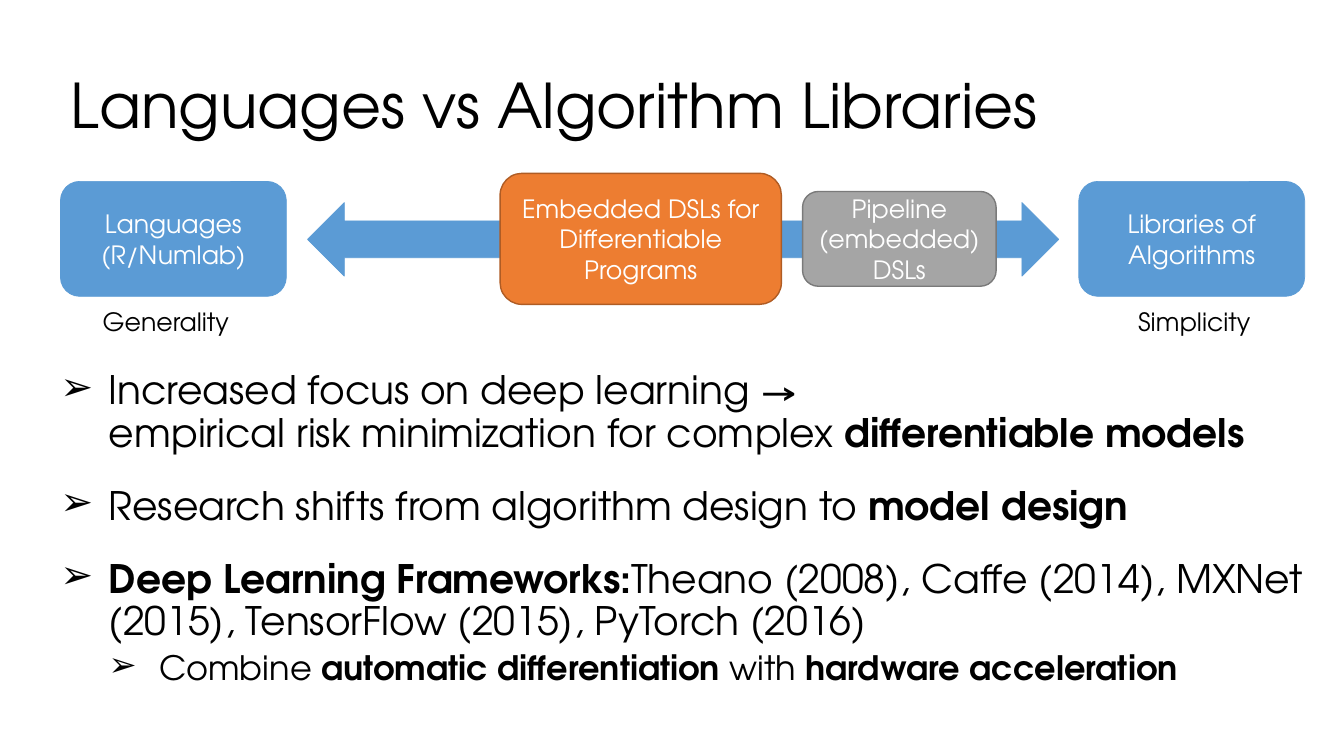
from lxml import etree
from pptx import Presentation
from pptx.dml.color import RGBColor
from pptx.enum.shapes import MSO_SHAPE as Kind
from pptx.enum.text import MSO_ANCHOR as Anchor, MSO_AUTO_SIZE as Fit, PP_ALIGN as Align
from pptx.oxml.ns import qn
from pptx.util import Inches, Pt

FACE = "TeX Gyre Adventor"
BLUE, ORANGE, RUST = "5B9BD5", "ED7D31", "AF5C24"
GREY, DARK, BLACK, WHITE = "A5A5A5", "7A7A7A", "000000", "FFFFFF"


def tint(code):
    return RGBColor.from_string(code)


def apply(target, style):
    for key, value in style.items():
        setattr(target, key, value)


def place(box):
    return [Inches(n) for n in box]


def write(para, parts, size, color):
    for part in parts:
        if part == "\n":
            para.add_line_break()
            continue
        text, bold = part if isinstance(part, tuple) else (part, False)
        run = para.add_run()
        run.text = text
        apply(run.font, {"name": FACE, "size": Pt(size), "bold": bold})
        run.font.color.rgb = tint(color)


def shape(slide, kind, box, fill, edge, width, lines=()):
    item = slide.shapes.add_shape(kind, *place(box))
    item.shadow.inherit = False
    item.fill.solid()
    item.fill.fore_color.rgb = tint(fill)
    item.line.color.rgb = tint(edge)
    item.line.width = Pt(width)
    frame = item.text_frame
    apply(frame, {"word_wrap": True, "vertical_anchor": Anchor.MIDDLE})
    for i, parts in enumerate(lines):
        para = frame.add_paragraph() if i else frame.paragraphs[0]
        para.alignment = Align.CENTER
        write(para, parts, 18, WHITE)


def label(slide, box, text):
    frame = slide.shapes.add_textbox(*place(box)).text_frame
    apply(frame, {"word_wrap": False, "auto_size": Fit.SHAPE_TO_FIT_TEXT})
    write(frame.paragraphs[0], [text], 18, BLACK)


def title(slide, box, text):
    item = slide.shapes.title
    apply(item, dict(zip(("left", "top", "width", "height"), place(box))))
    frame = item.text_frame
    apply(frame, {"word_wrap": True, "auto_size": Fit.NONE,
                  "vertical_anchor": Anchor.MIDDLE})
    para = frame.paragraphs[0]
    apply(para, {"alignment": Align.LEFT, "line_spacing": 0.9})
    write(para, [text], 44, BLACK)


def bullet(para, left, hang):
    props = para._p.get_or_add_pPr()
    props.set("marL", str(Inches(left)))
    props.set("indent", str(-Inches(hang)))
    color = etree.SubElement(props, qn("a:buClr"))
    etree.SubElement(color, qn("a:srgbClr"), val=BLACK)
    etree.SubElement(props, qn("a:buFont"), typeface=FACE)
    etree.SubElement(props, qn("a:buChar"), char="➢")


def points(slide, box, items):
    frame = slide.shapes.add_textbox(*place(box)).text_frame
    frame.word_wrap = True
    for i, (level, parts) in enumerate(items):
        para = frame.add_paragraph() if i else frame.paragraphs[0]
        left, hang, size, gap = ((0.5, 0.48, 28, 22), (1, 0.5, 24, 5))[level]
        bullet(para, left, hang)
        apply(para, {"level": level, "line_spacing": 0.9,
                     "space_before": Pt(gap if i else 0)})
        write(para, parts, size, BLACK)


def main():
    deck = Presentation()
    apply(deck, {"slide_width": Inches(13.33), "slide_height": Inches(7.5)})
    slide = deck.slides.add_slide(deck.slide_layouts[5])
    title(slide, (0.6, 0.35, 11.81, 1.45), "Languages vs Algorithm Libraries")
    points(slide, (0.48, 3.63, 12.57, 3.52), [
        (0, ["Increased focus on deep learning →", "\n",
             "empirical risk minimization for complex ",
             ("differentiable models", True)]),
        (0, ["Research shifts from algorithm design to ", ("model design", True)]),
        (0, [("Deep Learning Frameworks:", True),
             "Theano (2008), Caffe (2014), MXNet (2015), "
             "TensorFlow (2015), PyTorch (2016)"]),
        (1, ["Combine ", ("automatic differentiation", True), " with ",
             ("hardware acceleration", True)]),
    ])

    ends = (
        (0.6, [["Languages"], ["(R/Numlab)"]]),
        (10.7, [["Libraries of", "\n", "Algorithms"]]),
    )
    for left, lines in ends:
        shape(slide, Kind.ROUNDED_RECTANGLE, (left, 1.8, 2.24, 1.14),
              BLUE, BLUE, 0.5, lines)
    shape(slide, Kind.LEFT_RIGHT_ARROW, (3.05, 2.01, 7.45, 0.73), BLUE, BLUE, 0.5)
    label(slide, (0.92, 2.99, 1.48, 0.4), "Generality")
    label(slide, (11.19, 2.99, 1.32, 0.4), "Simplicity")
    shape(slide, Kind.ROUNDED_RECTANGLE, (7.96, 1.9, 1.92, 0.94), GREY, DARK, 1,
          [["Pipeline"], ["(embedded)"], ["DSLs"]])
    shape(slide, Kind.ROUNDED_RECTANGLE, (4.96, 1.72, 2.79, 1.3), ORANGE, RUST, 1,
          [["Embedded DSLs for", "\n", "Differentiable Programs"]])
    deck.save("out.pptx")


if __name__ == "__main__":
    main()
